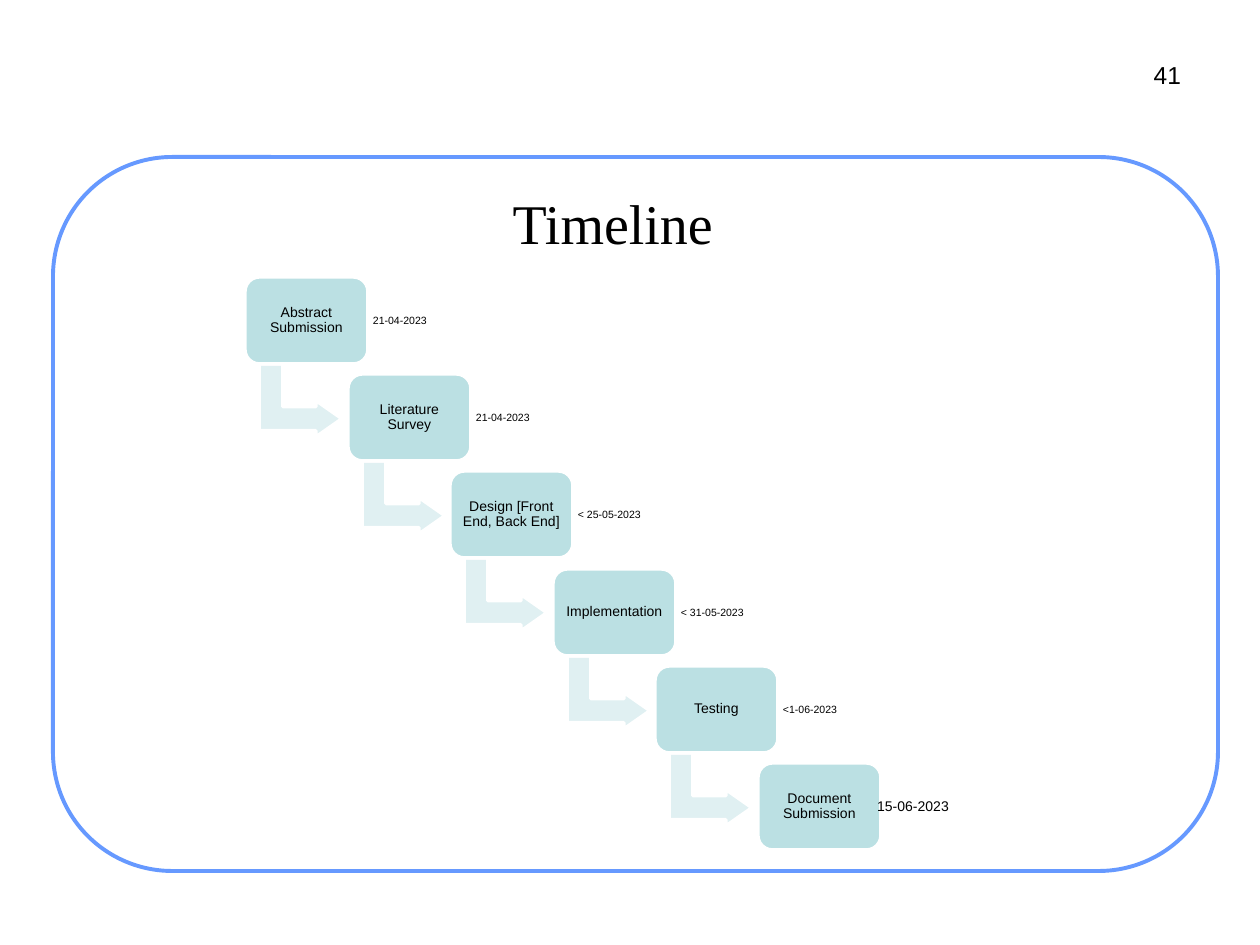
from pptx import Presentation
from pptx.dml.color import RGBColor
from pptx.enum.shapes import MSO_SHAPE
from pptx.enum.text import MSO_ANCHOR, PP_ALIGN
from pptx.util import Pt
from lxml.etree import SubElement
from pptx.oxml.ns import qn

PX = 914400 / 126
BLACK = RGBColor(0x00, 0x00, 0x00)
WHITE = RGBColor(0xFF, 0xFF, 0xFF)
BLUE = RGBColor(0x66, 0x99, 0xFF)
TEAL = RGBColor(0xBB, 0xE0, 0xE3)
PALE = RGBColor(0xE0, 0xF0, 0xF2)

prs = Presentation()
prs.slide_width, prs.slide_height = round(1260 * PX), round(945 * PX)
s = prs.slides.add_slide(prs.slide_layouts[6])


def add_shape(kind, box, fill, line, width, adjustments):
    sp = s.shapes.add_shape(kind, *[round(v * PX) for v in box])
    sp.shadow.inherit = False
    sp.fill.solid()
    sp.fill.fore_color.rgb = fill
    sp.line.color.rgb = line
    sp.line.width = Pt(width)
    for i, value in enumerate(adjustments):
        sp.adjustments[i] = value
    return sp


def set_text(sp, text, size, align, margin, font="Arial", wrap=True):
    tf = sp.text_frame
    tf.text = text
    tf.word_wrap = wrap
    tf.vertical_anchor = MSO_ANCHOR.MIDDLE
    tf.margin_left = tf.margin_right = round(margin * PX)
    tf.margin_top = tf.margin_bottom = round(margin * PX)
    p = tf.paragraphs[0]
    p.alignment = align
    r = p.runs[0]
    r.font.size = Pt(size)
    r.font.name = font
    r.font.color.rgb = BLACK
    return p


# Frame
add_shape(MSO_SHAPE.ROUNDED_RECTANGLE, (53, 157, 1165, 714), WHITE, BLUE, 2.25, [0.167])

# Title
sp = s.shapes.add_textbox(*[round(v * PX) for v in (46, 171, 1134, 102)])
set_text(sp, "Timeline", 32, PP_ALIGN.CENTER, 6, "Times New Roman")

# Steps: box, date beside it, arrow down to the next box
steps = [
    ("Abstract Submission", "21-04-2023"),
    ("Literature Survey", "21-04-2023"),
    ("Design [Front End, Back End]", "< 25-05-2023"),
    ("Implementation", "< 31-05-2023"),
    ("Testing", "<1-06-2023"),
    ("Document Submission", "15-06-2023"),
]
for i, (name, date) in enumerate(steps):
    last = i == len(steps) - 1
    x = 245 + round(i * 102.6)
    y = 277 + round(i * 97.25)

    if not last:
        sp = add_shape(MSO_SHAPE.BENT_UP_ARROW, (x + 19, y + 82, 73, 83),
                       PALE, WHITE, 2, [0.328, 0.25, 0.358])
        sp.rotation = 90

    sp = add_shape(MSO_SHAPE.ROUNDED_RECTANGLE, (x, y, 123, 87), TEAL, WHITE, 2, [0.167])
    p = set_text(sp, name, 8, PP_ALIGN.CENTER, 4)
    p.line_spacing = 0.9

    # The final date is larger and starts closer to its box
    left, width, size = (115, 244, 8) if last else (124, 90, 6)
    sp = s.shapes.add_textbox(*[round(v * PX) for v in (x + left, y + 9, width, 70)])
    sp.text_frame.text = date
    pPr = sp.text_frame.paragraphs[0]._p.get_or_add_pPr()
    pPr.set("marL", str(round(8 * PX)))
    pPr.set("indent", str(round(-8 * PX)))
    SubElement(pPr, qn("a:buChar")).set("char", "•")
    p = set_text(sp, date, size, PP_ALIGN.LEFT, 4)
    p.line_spacing = 0.9

# Page number
sp = s.shapes.add_textbox(*[round(v * PX) for v in (1145, 54, 42, 41)])
set_text(sp, "41", 14, PP_ALIGN.RIGHT, 6, wrap=False)

prs.save("out.pptx")
